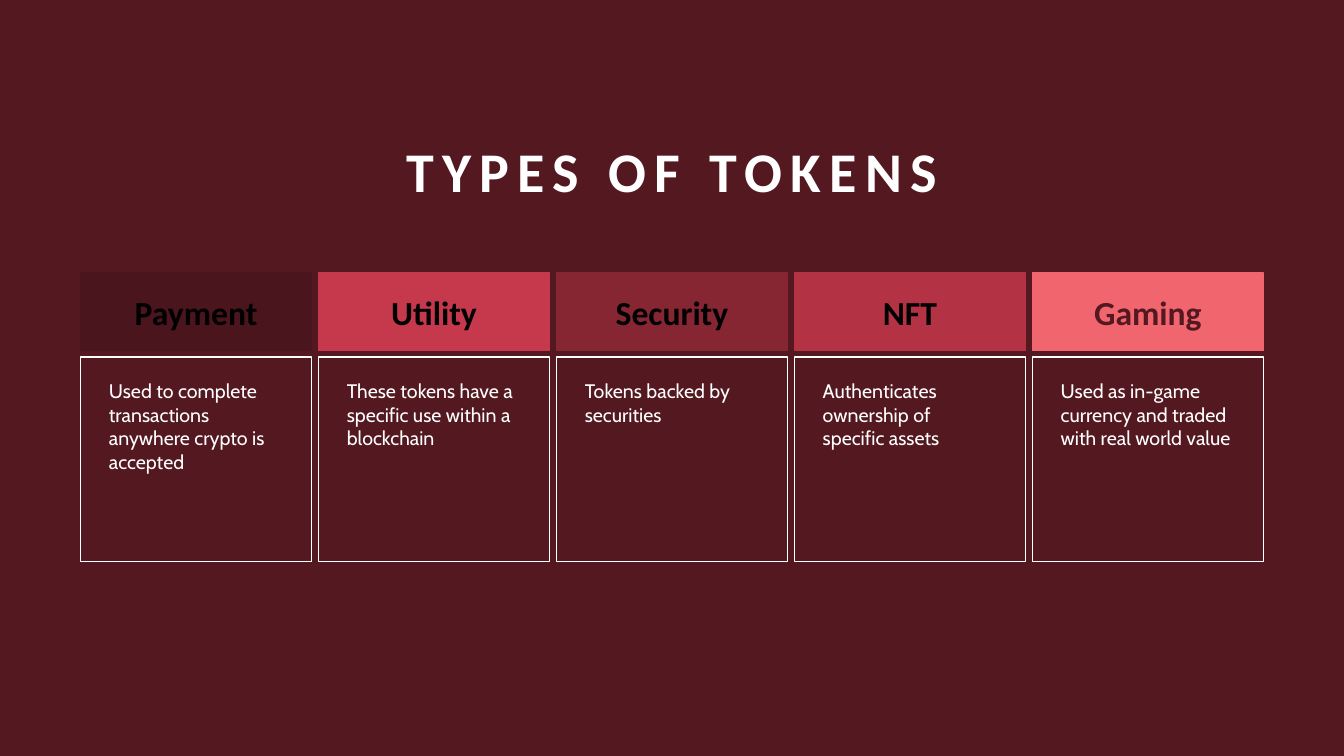
from dataclasses import dataclass

from pptx import Presentation
from pptx.dml.color import RGBColor
from pptx.enum.shapes import MSO_SHAPE
from pptx.enum.text import MSO_ANCHOR, MSO_AUTO_SIZE, PP_ALIGN
from pptx.util import Inches, Pt

RECTANGLE = MSO_SHAPE.RECTANGLE
TOP, MIDDLE, BOTTOM = MSO_ANCHOR.TOP, MSO_ANCHOR.MIDDLE, MSO_ANCHOR.BOTTOM
LEFT, CENTER = PP_ALIGN.LEFT, PP_ALIGN.CENTER
NO_AUTOFIT = MSO_AUTO_SIZE.NONE

HEADING = "TYPES OF TOKENS"
TOKENS = [
    ("Payment", "Used to complete transactions anywhere crypto is accepted", "4B151D", "000000"),
    ("Utility", "These tokens have a specific use within a blockchain", "C6384C", "000000"),
    ("Security", "Tokens backed by securities", "862633", "000000"),
    ("NFT", "Authenticates ownership of specific assets", "B33345", "000000"),
    ("Gaming", "Used as in-game currency and traded with real world value", "F1656F", "531820"),
]


@dataclass(frozen=True)
class Theme:
    background: str = "531820"
    light: str = "FFFFFF"
    heading_font: str = "Calibri"
    body_font: str = "Cabin"
    heading_size: int = 40
    name_size: int = 24
    body_size: int = 14
    tracking: int = 600
    border: int = 1


THEME = Theme()
HEADING_BOX = (1.81, 0.91, 9.71, 1.17)
FIRST_LEFT, PITCH, CARD_WIDTH = 0.8, 2.36, 2.29
NAME_TOP, NAME_HEIGHT = 2.71, 0.77
USE_TOP, USE_HEIGHT = 3.54, 2.03
NAME_INSETS = (0.1, 0.05, 0.1, 0.05)
USE_INSETS = (0.28, 0.22, 0.3, 0.05)


def color(value):
    return RGBColor.from_string(value)


def write(shape, text, font, size, ink, bold, align, anchor, insets):
    frame = shape.text_frame
    frame.word_wrap = True
    frame.auto_size = NO_AUTOFIT
    frame.vertical_anchor = anchor
    (frame.margin_left, frame.margin_top,
     frame.margin_right, frame.margin_bottom) = map(Inches, insets)
    paragraph = frame.paragraphs[0]
    paragraph.alignment = align
    run = paragraph.add_run()
    run.text = text
    run.font.name = font
    run.font.size = Pt(size)
    run.font.bold = bold
    run.font.color.rgb = color(ink)
    return paragraph, run


def add_card(slide, box, border, fill=None):
    card = slide.shapes.add_shape(RECTANGLE, *map(Inches, box))
    card.shadow.inherit = False
    if fill:
        card.fill.solid()
        card.fill.fore_color.rgb = color(fill)
    else:
        card.fill.background()
    card.line.color.rgb = color(border)
    card.line.width = Pt(THEME.border)
    return card


def add_heading(slide):
    heading = slide.shapes.title
    heading.left, heading.top, heading.width, heading.height = map(Inches, HEADING_BOX)
    paragraph, run = write(heading, HEADING, THEME.heading_font, THEME.heading_size,
                           THEME.light, True, CENTER, BOTTOM, NAME_INSETS)
    paragraph.line_spacing = 0.9
    run.font._element.set("spc", str(THEME.tracking))


def add_tokens(slide):
    for column, (name, use, fill, ink) in enumerate(TOKENS):
        left = FIRST_LEFT + column * PITCH
        name_card = add_card(slide, (left, NAME_TOP, CARD_WIDTH, NAME_HEIGHT), fill, fill)
        write(name_card, name, THEME.heading_font, THEME.name_size,
              ink, True, CENTER, MIDDLE, NAME_INSETS)
        use_card = add_card(slide, (left, USE_TOP, CARD_WIDTH, USE_HEIGHT), THEME.light)
        write(use_card, use, THEME.body_font, THEME.body_size,
              THEME.light, False, LEFT, TOP, USE_INSETS)


def main():
    deck = Presentation()
    deck.slide_width, deck.slide_height = Inches(13.33), Inches(7.5)
    slide = deck.slides.add_slide(deck.slide_layouts[5])
    slide.background.fill.solid()
    slide.background.fill.fore_color.rgb = color(THEME.background)
    add_heading(slide)
    add_tokens(slide)
    deck.save("out.pptx")


if __name__ == "__main__":
    main()
